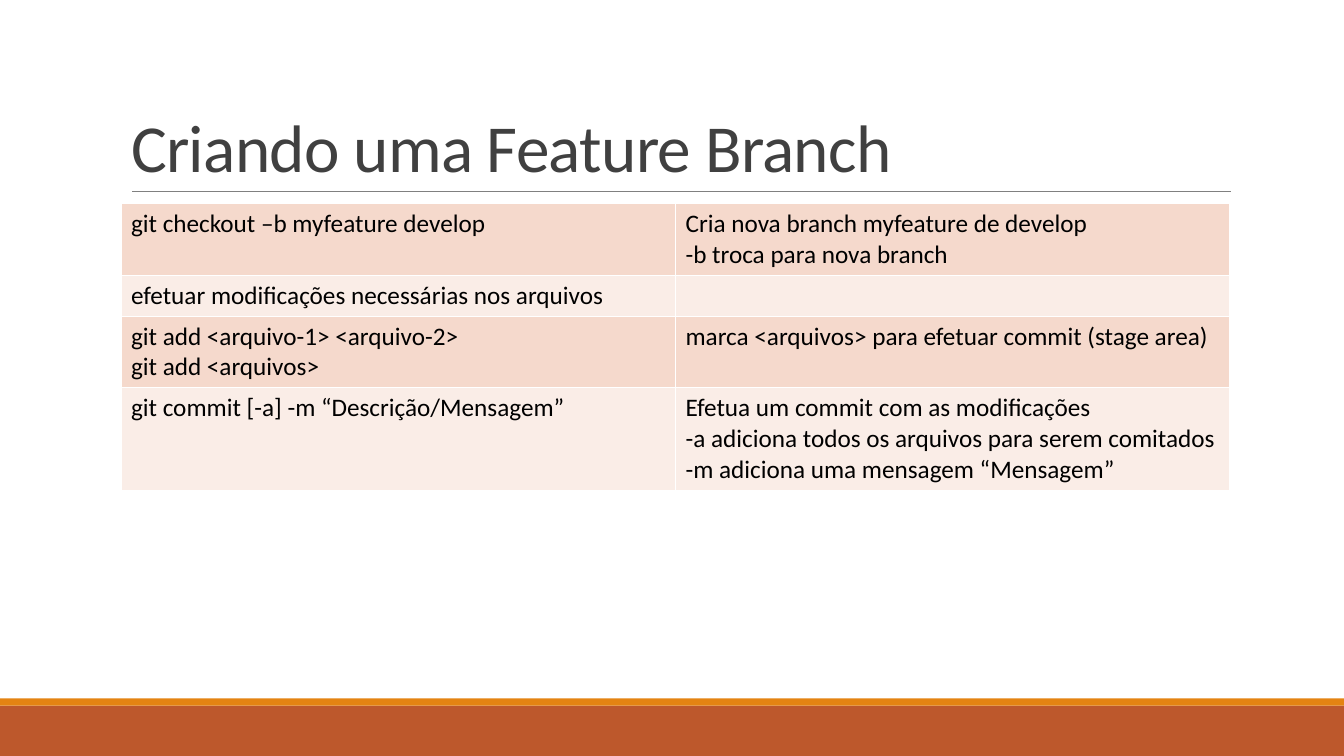
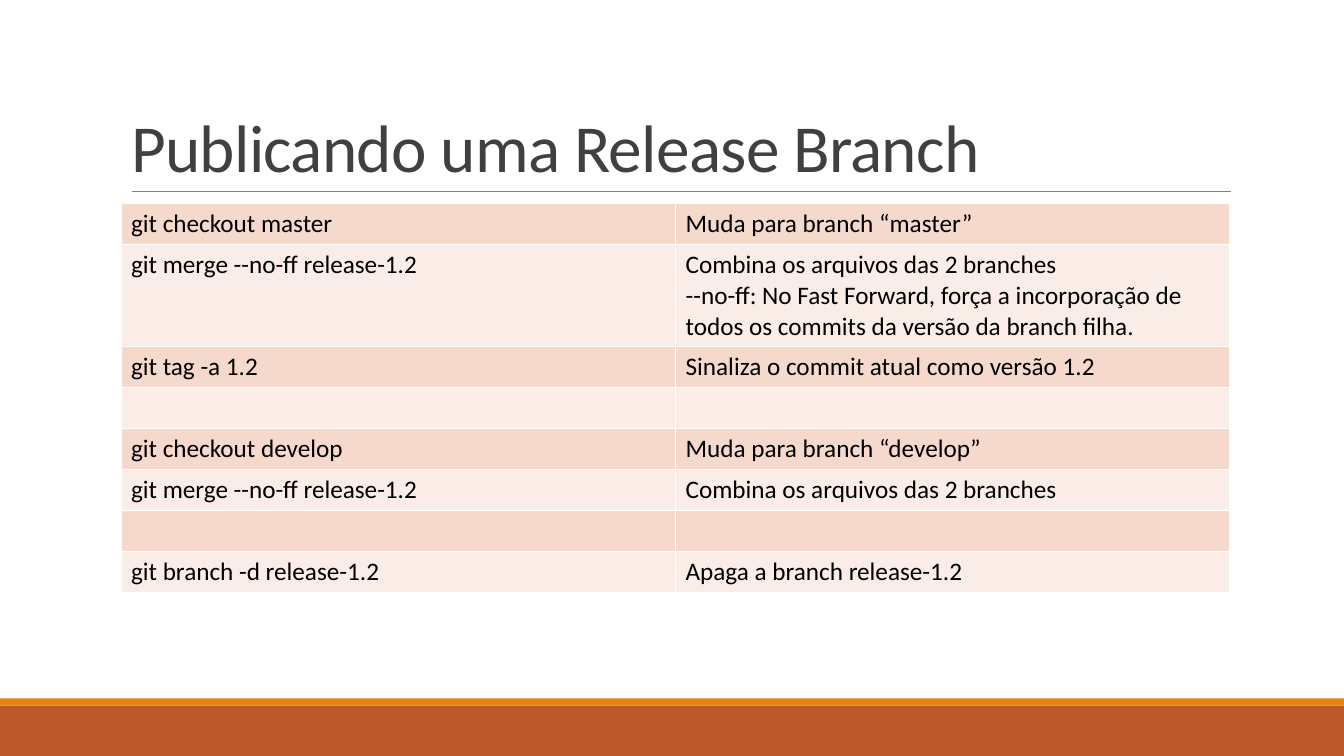
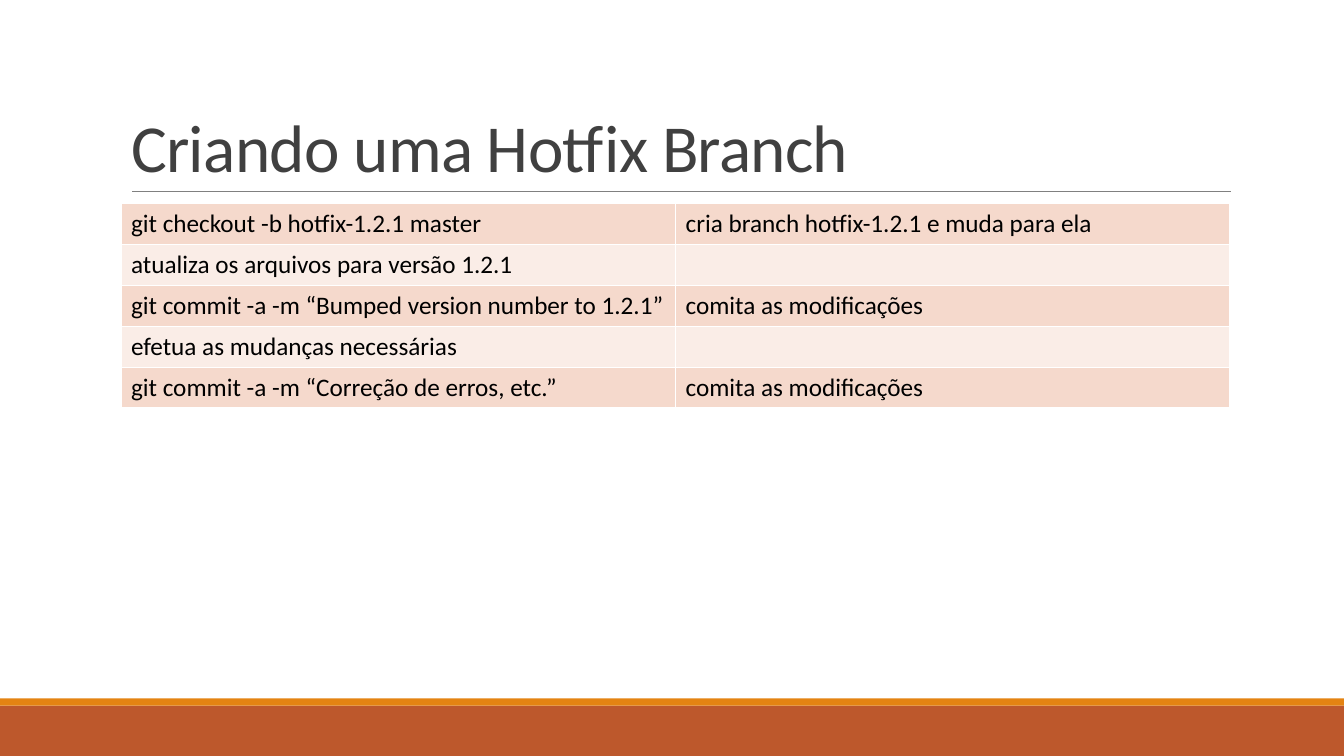
import pptx
import pptx.dml.color
import pptx.enum.shapes
import pptx.enum.text
import pptx.oxml
import pptx.oxml.ns
import pptx.util
from lxml import etree

Inches = pptx.util.Inches
Pt = pptx.util.Pt
qn = pptx.oxml.ns.qn

FONT = "Calibri"
COLORS = {
    "band": "BD582C",
    "stripe": "E48312",
    "rule": "808080",
    "title": "404040",
    "text": "000000",
    "border": "FFFFFF",
}
ROW_FILLS = ["F5D9CC", "FAEDE7"]
PAGE_WIDTH, PAGE_HEIGHT = 13.33, 7.5
TITLE_BOX = (1.2, 0.31, 11, 1.59)
TABLE_BOX = (1.2, 2.02, 11)
ROW_HEIGHT = 0.4

TITLE_FONT = {"name": FONT, "size": Pt(48), "bold": False}
CELL_FONT = {"name": FONT, "size": Pt(18), "bold": False}

PAGES = [
    ("Criando uma Feature Branch", [
        ("git checkout –b myfeature develop",
         "Cria nova branch myfeature de develop\n-b troca para nova branch"),
        ("efetuar modificações necessárias nos arquivos", ""),
        ("git add <arquivo-1> <arquivo-2>\ngit add <arquivos>",
         "marca <arquivos> para efetuar commit (stage area)"),
        ("git commit [-a] -m “Descrição/Mensagem”",
         "Efetua um commit com as modificações\n"
         "-a adiciona todos os arquivos para serem comitados\n"
         "-m adiciona uma mensagem “Mensagem”"),
    ]),
    ("Publicando uma Release Branch", [
        ("git checkout master", "Muda para branch “master”"),
        ("git merge --no-ff release-1.2",
         "Combina os arquivos das 2 branches\n"
         "--no-ff: No Fast Forward, força a incorporação de todos os commits "
         "da versão da branch filha."),
        ("git tag -a 1.2", "Sinaliza o commit atual como versão 1.2"),
        ("", ""),
        ("git checkout develop", "Muda para branch “develop”"),
        ("git merge --no-ff release-1.2", "Combina os arquivos das 2 branches"),
        ("", ""),
        ("git branch -d release-1.2", "Apaga a branch release-1.2"),
    ]),
    ("Criando uma Hotfix Branch", [
        ("git checkout -b hotfix-1.2.1 master",
         "cria branch hotfix-1.2.1 e muda para ela"),
        ("atualiza os arquivos para versão 1.2.1", ""),
        ("git commit -a -m “Bumped version number to 1.2.1”",
         "comita as modificações"),
        ("efetua as mudanças necessárias", ""),
        ("git commit -a -m “Correção de erros, etc.”",
         "comita as modificações"),
    ]),
]


def rgb(value):
    return pptx.dml.color.RGBColor.from_string(value)


def apply(target, values):
    """Set each named attribute of the target."""
    for name, value in values.items():
        setattr(target, name, value)


def format_text(frame, font_values, color):
    for para in frame.paragraphs:
        for span in para.runs:
            apply(span.font, font_values)
            span.font.color.rgb = rgb(color)


def add_band(page, top, height, color):
    """Draw a borderless bar across the whole page."""
    band = page.shapes.add_shape(
        pptx.enum.shapes.MSO_SHAPE.RECTANGLE,
        0, Inches(top), Inches(PAGE_WIDTH), Inches(height))
    band.shadow.inherit = False
    band.fill.solid()
    band.fill.fore_color.rgb = rgb(color)
    band.line.fill.background()


def add_frame(page):
    """Draw the footer bands and the rule under the title."""
    add_band(page, 7, 0.5, COLORS["band"])
    add_band(page, 6.93, 0.07, COLORS["stripe"])
    left, top, width, height = TITLE_BOX
    rule_left, rule_top = left + 0.11, top + height
    rule = page.shapes.add_connector(
        pptx.enum.shapes.MSO_CONNECTOR.STRAIGHT,
        Inches(rule_left), Inches(rule_top),
        Inches(rule_left + 10.9), Inches(rule_top))
    rule.line.color.rgb = rgb(COLORS["rule"])
    rule.line.width = Pt(0.5)
    etree.SubElement(rule.element.spPr, qn("a:effectLst"))


def set_title(page, text, box):
    title = page.shapes.title
    apply(title, dict(zip(("left", "top", "width", "height"), map(Inches, box))))
    frame = title.text_frame
    frame.text = text
    apply(frame, {
        "word_wrap": True,
        "auto_size": pptx.enum.text.MSO_AUTO_SIZE.NONE,
        "vertical_anchor": pptx.enum.text.MSO_ANCHOR.BOTTOM,
    })
    apply(frame.paragraphs[0], {
        "alignment": pptx.enum.text.PP_ALIGN.LEFT,
        "line_spacing": 0.85,
    })
    format_text(frame, TITLE_FONT, COLORS["title"])
    for properties in title.element.iter(qn("a:rPr")):
        properties.set("spc", "-50")


def add_borders(holder):
    """Give every cell of the table a thin line on all four sides."""
    for cell in holder.element.iter(qn("a:tc")):
        properties = cell.get_or_add_tcPr()
        for side in ("a:lnL", "a:lnR", "a:lnT", "a:lnB"):
            line = etree.SubElement(properties, qn(side), w=str(int(Pt(1))))
            fill = etree.SubElement(line, qn("a:solidFill"))
            etree.SubElement(fill, qn("a:srgbClr"), val=COLORS["border"])


def add_command_table(page, rows, box):
    left, top, width = box
    holder = page.shapes.add_table(
        len(rows), len(rows[0]), Inches(left), Inches(top),
        Inches(width), Inches(ROW_HEIGHT * len(rows)))
    table = holder.table
    apply(table, {"first_row": False, "horz_banding": False})
    add_borders(holder)
    for row_index, texts in enumerate(rows):
        for column_index, text in enumerate(texts):
            cell = table.cell(row_index, column_index)
            cell.fill.solid()
            cell.fill.fore_color.rgb = rgb(ROW_FILLS[row_index % 2])
            if text:
                cell.text = text
                format_text(cell.text_frame, CELL_FONT, COLORS["text"])


def main():
    deck = pptx.Presentation()
    deck.slide_width = Inches(PAGE_WIDTH)
    deck.slide_height = Inches(PAGE_HEIGHT)
    title_only = deck.slide_layouts[5]
    for title, rows in PAGES:
        page = deck.slides.add_slide(title_only)
        add_frame(page)
        set_title(page, title, TITLE_BOX)
        add_command_table(page, rows, TABLE_BOX)
    deck.save("out.pptx")


if __name__ == "__main__":
    main()
